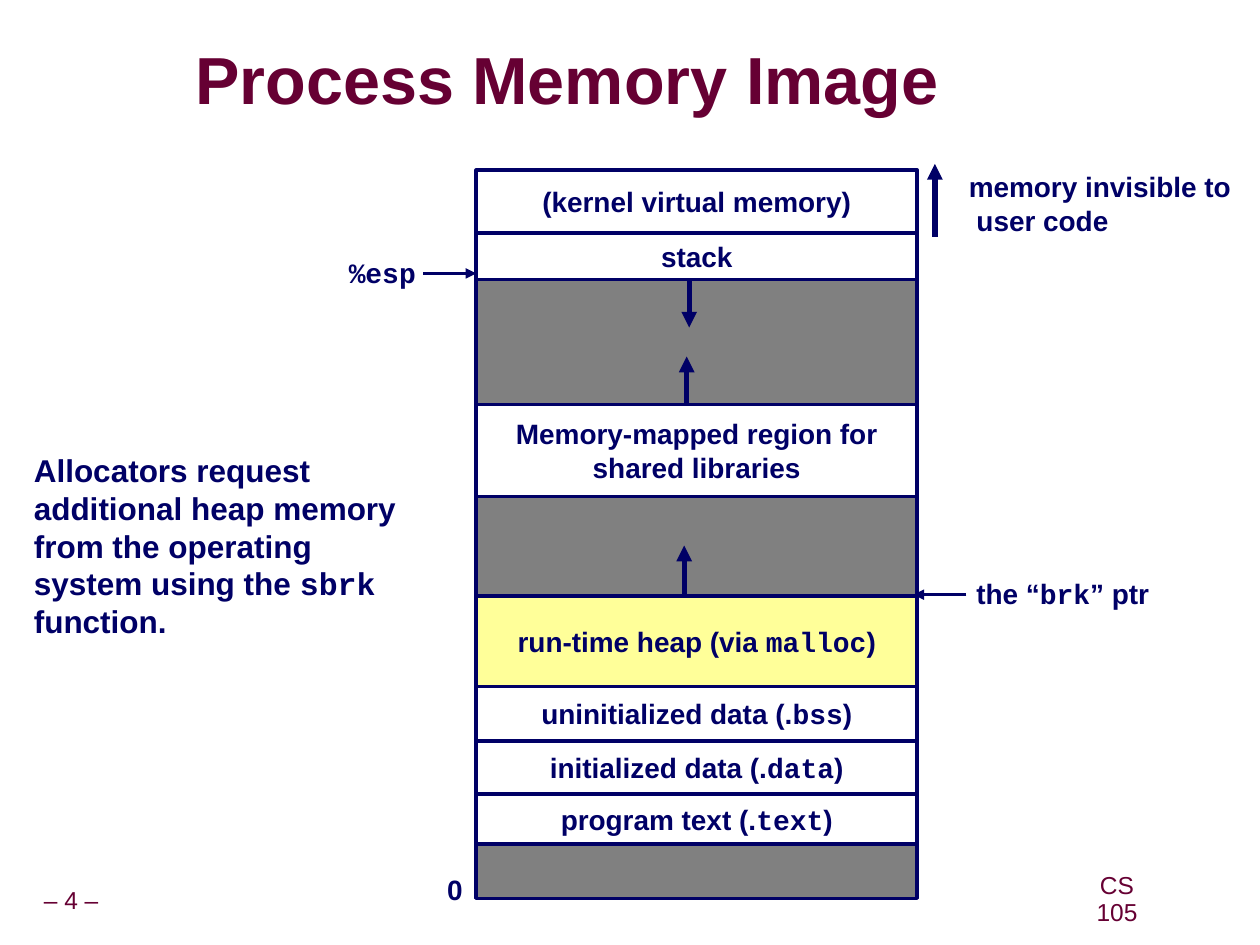
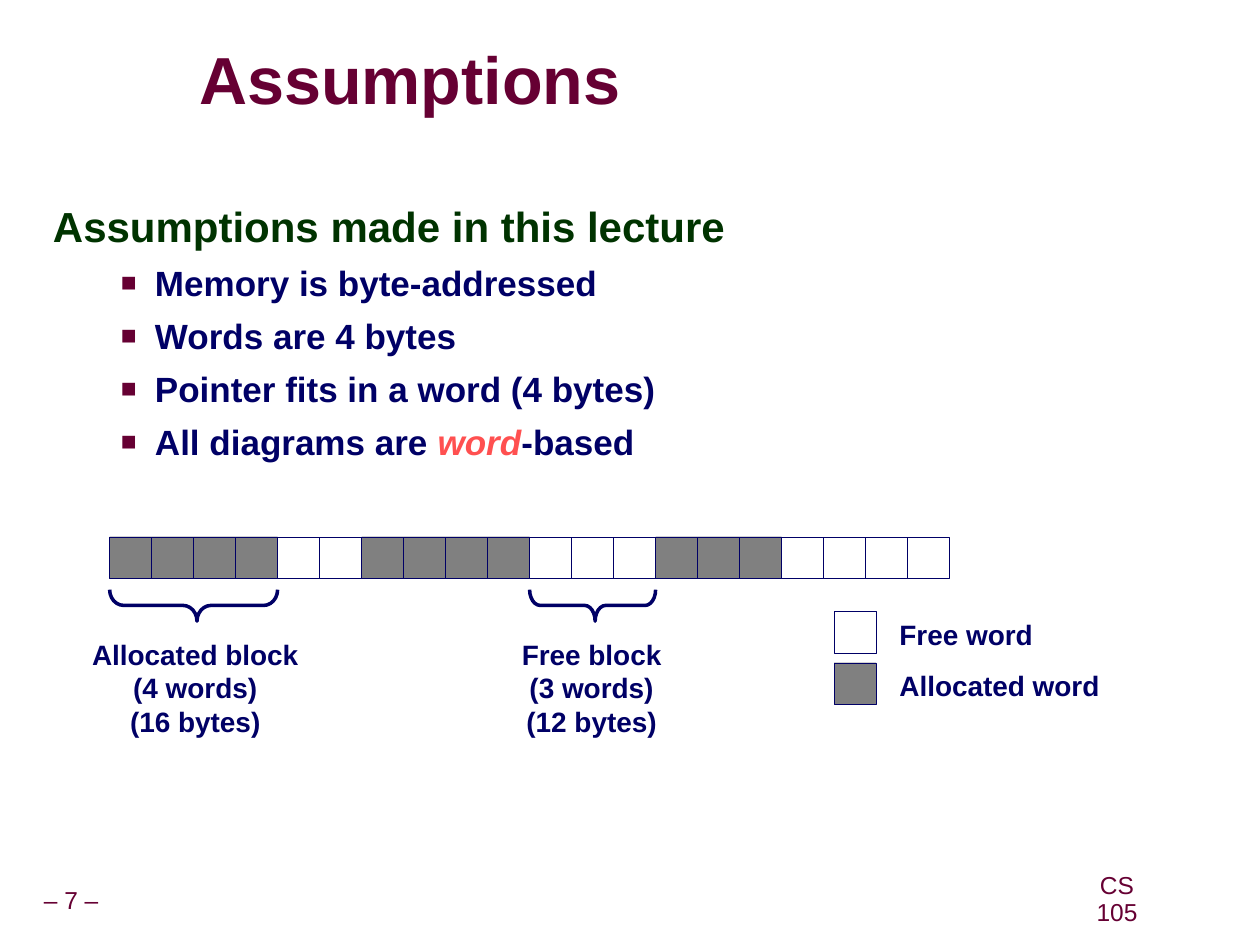
import dataclasses
import itertools

import lxml.etree
import pptx
import pptx.dml.color
import pptx.enum.shapes
import pptx.enum.text
import pptx.oxml.ns
import pptx.util

Inches = pptx.util.Inches
Pt = pptx.util.Pt
RGBColor = pptx.dml.color.RGBColor
PP_ALIGN = pptx.enum.text.PP_ALIGN
ANCHOR = pptx.enum.text.MSO_ANCHOR
AUTO_SIZE = pptx.enum.text.MSO_AUTO_SIZE
SHAPE = pptx.enum.shapes.MSO_SHAPE

NAVY = RGBColor(0x00, 0x00, 0x66)
MAROON = RGBColor(0x66, 0x00, 0x33)
GREEN = RGBColor(0x00, 0x33, 0x00)
CORAL = RGBColor(0xFF, 0x50, 0x50)
GRAY = RGBColor(0x80, 0x80, 0x80)
SHADOW = RGBColor(0x99, 0x99, 0x99)
YELLOW = RGBColor(0xFF, 0xFF, 0x99)
WHITE = RGBColor(0xFF, 0xFF, 0xFF)

SANS = "Arial"
MONO = "Courier New"
TITLE_ONLY = 5
TITLE_AND_BODY = 1


@dataclasses.dataclass
class Span:
    text: str
    font: str = SANS
    color: RGBColor = None
    italic: bool = False


def code(text):
    return Span(text, MONO)


def add_xml(parent, tag, **attributes):
    return lxml.etree.SubElement(parent, pptx.oxml.ns.qn(tag), attributes)


class Deck:
    def __init__(self):
        self.presentation = pptx.Presentation()
        self.presentation.slide_width = Inches(10)
        self.presentation.slide_height = Inches(7.5)
        self.slide = None

    def new_slide(self, layout, number, title, title_left, title_width):
        layouts = self.presentation.slide_layouts
        self.slide = self.presentation.slides.add_slide(layouts[layout])
        self.title(title, title_left, title_width)
        self.footer(f"– {number} –", -0.09, 7, 1.31)
        self.footer("CS 105", 8.49, 6.99, 0.75)

    def place(self, shape, left, top, width, height):
        shape.left, shape.top = Inches(left), Inches(top)
        shape.width, shape.height = Inches(width), Inches(height)

    def margins(self, frame, horizontal, vertical):
        frame.margin_left = frame.margin_right = Inches(horizontal)
        frame.margin_top = frame.margin_bottom = Inches(vertical)

    def add_spans(self, paragraph, spans, size, color=NAVY, bold=True):
        for span in spans:
            if isinstance(span, str):
                span = Span(span)
            run = paragraph.add_run()
            run.text = span.text
            run.font.name = span.font
            run.font.size = Pt(size)
            run.font.bold = bold
            run.font.italic = span.italic
            run.font.color.rgb = span.color or color

    def fill_frame(self, frame, lines, size=16, align=PP_ALIGN.LEFT,
                   color=NAVY, bold=True, spacing=None):
        for index, spans in enumerate(lines):
            paragraph = frame.add_paragraph() if index else frame.paragraphs[0]
            paragraph.alignment = align
            paragraph.line_spacing = spacing
            self.add_spans(paragraph, spans, size, color, bold)

    def title(self, text, left, width):
        title = self.slide.shapes.title
        self.place(title, left, 0.33, width, 0.67)
        frame = title.text_frame
        self.margins(frame, 0, 0)
        frame.vertical_anchor = ANCHOR.MIDDLE
        frame.auto_size = AUTO_SIZE.NONE
        self.fill_frame(frame, [[text]], 38, color=MAROON, spacing=0.87)
        properties = frame.paragraphs[0].runs[0]._r.get_or_add_rPr()
        effects = add_xml(properties, "a:effectLst")
        shadow = add_xml(effects, "a:outerShdw", dist="50800", dir="2700000")
        add_xml(shadow, "a:srgbClr", val=str(SHADOW))
        properties.find(pptx.oxml.ns.qn("a:solidFill")).addnext(effects)

    def label(self, lines, left, top, width, height, wrap=False, **style):
        box = self.slide.shapes.add_textbox(
            Inches(left), Inches(top), Inches(width), Inches(height))
        frame = box.text_frame
        frame.word_wrap = wrap
        frame.auto_size = AUTO_SIZE.SHAPE_TO_FIT_TEXT
        self.fill_frame(frame, lines, **style)
        return frame

    def footer(self, text, left, top, width):
        frame = self.label([[text]], left, top, width, 0.31, size=14,
                           align=PP_ALIGN.CENTER, color=MAROON, bold=False,
                           spacing=0.9)
        self.margins(frame, 0.05, 0.05)
        frame.vertical_anchor = ANCHOR.MIDDLE

    def box(self, left, top, width, height, fill, line_width, lines=()):
        box = self.slide.shapes.add_shape(
            SHAPE.RECTANGLE, Inches(left), Inches(top),
            Inches(width), Inches(height))
        box.shadow.inherit = False
        box.fill.solid()
        box.fill.fore_color.rgb = fill
        box.line.color.rgb = NAVY
        box.line.width = Pt(line_width)
        box.text_frame.word_wrap = False
        box.text_frame.vertical_anchor = ANCHOR.MIDDLE
        self.fill_frame(box.text_frame, lines, align=PP_ALIGN.CENTER)

    def arrow(self, start, end, width):
        arrow = self.slide.shapes.add_connector(
            pptx.enum.shapes.MSO_CONNECTOR.STRAIGHT,
            *map(Inches, start + end))
        arrow.line.color.rgb = NAVY
        arrow.line.width = Pt(width)
        properties = arrow._element.spPr
        add_xml(properties.find(pptx.oxml.ns.qn("a:ln")), "a:tailEnd",
                type="triangle")
        add_xml(properties, "a:effectLst")

    def brace_below(self, left, top, length):
        depth = 0.25
        brace = self.slide.shapes.add_shape(
            SHAPE.RIGHT_BRACE,
            Inches(left + (length - depth) / 2),
            Inches(top + (depth - length) / 2),
            Inches(depth), Inches(length))
        brace.rotation = 90
        brace.adjustments[0] = length / depth / 12
        brace.adjustments[1] = 0.48
        brace.shadow.inherit = False
        brace.fill.background()
        brace.line.color.rgb = NAVY
        brace.line.width = Pt(2)

    def outline(self, heading, points):
        body = self.slide.placeholders[1]
        self.place(body, 0.32, 1.34, 9.09, 5.71)
        frame = body.text_frame
        frame.auto_size = AUTO_SIZE.NONE
        self.fill_frame(frame, [[heading]], 24, color=GREEN, spacing=1.5)
        first = frame.paragraphs[0]
        first.space_before = Pt(15)
        properties = first._p.get_or_add_pPr()
        properties.set("marL", str(Inches(0.42)))
        properties.set("indent", str(Inches(-0.42)))
        add_xml(properties, "a:buNone")
        for spans in points:
            point = frame.add_paragraph()
            point.level = 1
            point.space_before = Pt(6.2)
            self.add_spans(point, spans, 20)
            properties = point._p.get_or_add_pPr()
            properties.set("marL", str(Inches(0.81)))
            properties.set("indent", str(Inches(-0.27)))
            bullet_color = add_xml(properties, "a:buClr")
            add_xml(bullet_color, "a:srgbClr", val=str(MAROON))
            add_xml(properties, "a:buSzPct", val="75000")
            add_xml(properties, "a:buFont", typeface=SANS)
            add_xml(properties, "a:buChar", char="■")


def memory_image(deck):
    deck.new_slide(TITLE_ONLY, 4, "Process Memory Image", 1.55, 6.14)
    regions = [
        (1.35, WHITE, [["(kernel virtual memory)"]]),
        (1.85, WHITE, [["stack"]]),
        (2.22, GRAY, []),
        (3.21, WHITE, [["Memory-mapped region for"], ["shared libraries"]]),
        (3.94, GRAY, []),
        (4.73, YELLOW, [["run-time heap (via ", code("malloc"), ")"]]),
        (5.45, WHITE, [["uninitialized data (.", code("bss"), ")"]]),
        (5.88, WHITE, [["initialized data (.", code("data"), ")"]]),
        (6.3, WHITE, [["program text (.", code("text"), ")"]]),
        (6.7, GRAY, []),
    ]
    bottoms = [top for top, *_ in regions[1:]] + [7.13]
    for (top, fill, lines), bottom in zip(regions, bottoms):
        deck.box(3.78, top, 3.5, bottom - top, fill, 2, lines)

    growth_arrows = [(5.43, 4.72, 4.33), (5.45, 3.21, 2.83),
                     (5.47, 2.22, 2.6), (7.42, 1.88, 1.3)]
    for x, start, end in growth_arrows:
        deck.arrow((x, start), (x, end), 3)
    deck.arrow((3.36, 2.17), (3.78, 2.17), 2)
    deck.arrow((7.67, 4.72), (7.25, 4.72), 2)

    deck.label([["0"]], 3.45, 6.88, 0.32, 0.37)
    deck.label([[code("%esp")]], 2.67, 1.98, 0.73, 0.37)
    deck.label([["memory invisible to"], [" user code"]],
               7.59, 1.3, 2.28, 0.64)
    deck.label([["the “", code("brk"), "” ptr"]], 7.65, 4.53, 1.57, 0.37)
    deck.label([["Allocators request"],
                ["additional heap memory"],
                ["from the operating system using the ", code("sbrk"),
                 " function."]],
               0.17, 3.53, 3.25, 1.6, wrap=True, size=18)


def assumptions(deck):
    deck.new_slide(TITLE_AND_BODY, 7, "Assumptions", 1.58, 5.34)
    deck.outline("Assumptions made in this lecture", [
        ["Memory is byte-addressed"],
        ["Words are 4 bytes"],
        ["Pointer fits in a word (4 bytes)"],
        ["All diagrams are ", Span("word", color=CORAL, italic=True),
         "-based"],
    ])

    word = 1 / 3
    heap_left = 0.87
    blocks = [(4, GRAY), (2, WHITE), (4, GRAY), (3, WHITE), (3, GRAY),
              (4, WHITE)]
    words = itertools.chain.from_iterable([fill] * n for n, fill in blocks)
    for index, fill in enumerate(words):
        deck.box(heap_left + index * word, 4.26, word, word, fill, 0.25)

    captions = [("Allocated block", 0, 4, 0.63, 1.84),
                ("Free block", 10, 3, 4.04, 1.31)]
    for name, first, count, left, width in captions:
        deck.brace_below(heap_left + first * word, 4.68, count * word)
        deck.label([[name], [f"({count} words)"], [f"({count * 4} bytes)"]],
                   left, 5.01, width, 0.9, align=PP_ALIGN.CENTER)

    legend = [("Free word", WHITE, 4.85, 1.26),
              ("Allocated word", GRAY, 5.26, 1.79)]
    for name, fill, top, width in legend:
        deck.box(6.62, top, word, word, fill, 0.25)
        deck.label([[name]], 7.04, top, width, 0.37)


def main():
    deck = Deck()
    memory_image(deck)
    assumptions(deck)
    deck.presentation.save("out.pptx")


if __name__ == "__main__":
    main()
